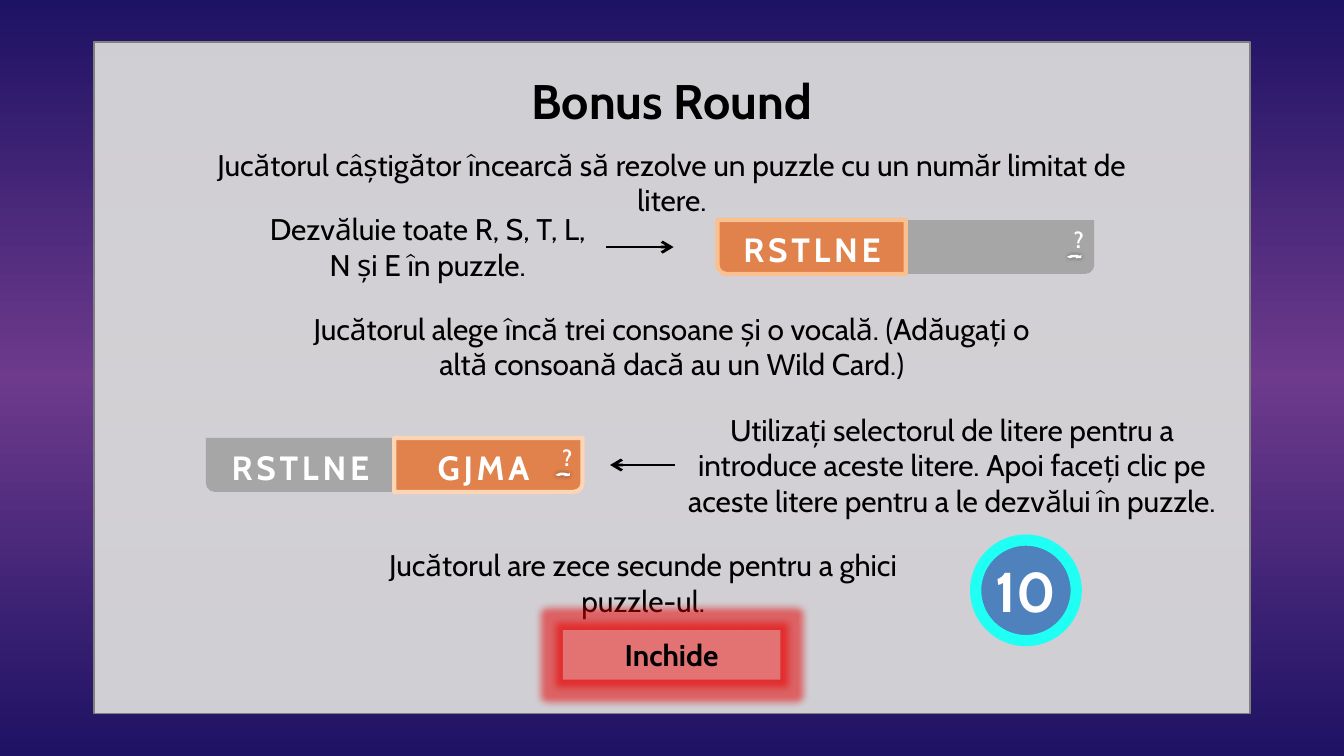
from copy import deepcopy

from lxml import etree
from pptx import Presentation
from pptx.dml.color import RGBColor
from pptx.enum.shapes import MSO_CONNECTOR, MSO_SHAPE
from pptx.enum.text import MSO_ANCHOR, MSO_AUTO_SIZE, PP_ALIGN
from pptx.oxml.ns import qn
from pptx.util import Cm, Pt

RECTANGLE = MSO_SHAPE.RECTANGLE
ROUND_ONE = MSO_SHAPE.ROUND_1_RECTANGLE
OVAL = MSO_SHAPE.OVAL
CIRCULAR_ARROW = MSO_SHAPE.CIRCULAR_ARROW
STRAIGHT = MSO_CONNECTOR.STRAIGHT
TOP, MIDDLE = MSO_ANCHOR.TOP, MSO_ANCHOR.MIDDLE
CENTER = PP_ALIGN.CENTER
FIT_TEXT = MSO_AUTO_SIZE.SHAPE_TO_FIT_TEXT

FONT = "Cabin"
COLORS = {
    "navy": "1E1264",
    "purple": "6D3A8C",
    "panel": "D9D9D9",
    "panel_edge": "808080",
    "black": "000000",
    "white": "FFFFFF",
    "orange": "E1814B",
    "gray": "A6A6A6",
    "peach": "FAC090",
    "pale_peach": "FCD5B5",
    "blue": "4F81BD",
    "cyan": "1FFFF4",
    "pink": "E6B9B8",
    "glow": "E80000",
}
HALF_WIDTH, BAR_HEIGHT = 3.56, 1.02
PARAGRAPHS = [
    ("Jucătorul câștigător încearcă să rezolve un puzzle cu un număr limitat de litere.",
     (3.5, 2.64, 18.4, 0.94)),
    ("Jucătorul alege încă trei consoane și o vocală. (Adăugați o altă consoană dacă au un Wild Card.)",
     (5.33, 5.74, 14.74, 1.63)),
    ("Dezvăluie toate R, S, T, L, N și E în puzzle.", (4.72, 3.86, 6.73, 1.63)),
    ("Utilizați selectorul de litere pentru a introduce aceste litere. "
     "Apoi faceți clic pe aceste litere pentru a le dezvălui în puzzle.",
     (12.75, 7.65, 10.49, 2.31)),
    ("Jucătorul are zece secunde pentru a ghici puzzle-ul.", (6.2, 10.21, 11.91, 1.63)),
]


def rgb(name):
    """Return the named colour."""
    return RGBColor.from_string(COLORS[name])


def lengths(box):
    """Convert numbers in centimetres to lengths."""
    return [Cm(value) for value in box]


def set_background(slide):
    """Paint the vertical three-stop gradient."""
    fill = slide.background.fill
    fill.gradient()
    fill.gradient_angle = 270
    stop_list = next(slide._element.iter(qn("a:gsLst")))
    stop_list.append(deepcopy(stop_list[0]))
    stops = zip(fill.gradient_stops, (0, 0.5, 1), ("navy", "purple", "navy"))
    for stop, position, color in stops:
        stop.position = position
        stop.color.rgb = rgb(color)


def write_text(shape, text, size=16, color="black", bold=False, anchor=TOP,
               inset=None, spacing=None, grow=False):
    """Put one centred, formatted paragraph into a shape."""
    frame = shape.text_frame
    frame.word_wrap = True
    frame.vertical_anchor = anchor
    if grow:
        frame.auto_size = FIT_TEXT
    if inset is not None:
        frame.margin_left = frame.margin_right = Cm(inset)
        frame.margin_top = frame.margin_bottom = Cm(inset)
    paragraph = frame.paragraphs[0]
    paragraph.alignment = CENTER
    run = paragraph.add_run()
    run.text = text
    run.font.name = FONT
    run.font.size = Pt(size)
    run.font.bold = bold
    run.font.color.rgb = rgb(color)
    if spacing:
        run._r.get_or_add_rPr().set("spc", str(spacing * 100))


def add_text(slide, text, box, **text_format):
    """Add a text box."""
    write_text(slide.shapes.add_textbox(*lengths(box)), text, **text_format)


def add_shape(shapes, kind, box, fill=None, line=None, width=1, alpha=None):
    """Add a preset shape with optional fill, transparency and outline."""
    shape = shapes.add_shape(kind, *lengths(box))
    shape.shadow.inherit = False
    if fill:
        shape.fill.solid()
        shape.fill.fore_color.rgb = rgb(fill)
    else:
        shape.fill.background()
    if alpha:
        color = shape._element.spPr.find(qn("a:solidFill"))[0]
        etree.SubElement(color, qn("a:alpha"), val=str(alpha * 1000))
    if line:
        shape.line.color.rgb = rgb(line)
        shape.line.width = Pt(width)
    else:
        shape.line.fill.background()
    return shape


def add_effect(shape, tag, color, alpha, **attributes):
    """Add a glow or shadow effect to a shape."""
    effects = shape._element.spPr.find(qn("a:effectLst"))
    effect = etree.SubElement(effects, qn(tag), **attributes)
    color_element = etree.SubElement(effect, qn("a:srgbClr"), val=COLORS[color])
    etree.SubElement(color_element, qn("a:alpha"), val=str(alpha * 1000))


def add_half(slide, left, middle, side, **style):
    """Add half 0 (left) or 1 (right) of a bar, rounded at its lower outer corner."""
    center = left + HALF_WIDTH * (side + 0.5)
    box = (center - BAR_HEIGHT / 2, middle - HALF_WIDTH / 2, BAR_HEIGHT, HALF_WIDTH)
    shape = add_shape(slide.shapes, ROUND_ONE, box, **style)
    shape.rotation = 90 if side else 270
    if not side:
        shape._element.spPr.find(qn("a:xfrm")).set("flipH", "1")


def add_letter_bar(slide, left, middle, active, outline, labels):
    """Add a two-part letter bar with its labels and the help and undo marks."""
    for side in (0, 1):
        add_half(slide, left, middle, side, fill="orange" if side == active else "gray")
    add_half(slide, left, middle, active, line=outline, width=2.25)
    for text, offset in zip(labels, (0.38, 3.84)):
        add_text(slide, text, (left + offset, middle - 0.27, 2.82, 0.61), size=18,
                 color="white", bold=True, anchor=MIDDLE, inset=0, spacing=2)
    add_text(slide, "?", (left + 6.65, middle - 0.37, 0.36, 0.46), size=12,
             color="white", bold=True, anchor=MIDDLE, inset=0)
    undo = add_shape(slide.shapes, CIRCULAR_ARROW,
                     (left + 6.6, middle + 0.04, 0.33, 0.46), fill="white")
    undo.rotation = 99.1
    for index, value in enumerate((0.16, 16.08, 122.52, 65.29, 0.2)):
        undo.adjustments[index] = value
    add_effect(undo, "a:outerShdw", "black", 40, blurRad=str(Pt(2)), dist="0", dir="2700000")


def add_arrow(slide, start, end, middle):
    """Add a horizontal arrow."""
    line = slide.shapes.add_connector(STRAIGHT, *lengths((start, middle, end, middle)))
    line.line.color.rgb = rgb("black")
    line.line.width = Pt(1.5)
    etree.SubElement(line.line._get_or_add_ln(), qn("a:tailEnd"), type="arrow")
    etree.SubElement(line._element.spPr, qn("a:effectLst"))


def add_timer(slide, box):
    """Add the grouped countdown disc and ring."""
    group = slide.shapes.add_group_shape()
    disc = add_shape(group.shapes, OVAL, box, fill="blue")
    write_text(disc, "10", size=30, color="white", bold=True, anchor=MIDDLE, inset=0)
    add_shape(group.shapes, OVAL, box, line="cyan", width=6)


def add_close_button(slide, box):
    """Add the glowing close button."""
    button = add_shape(slide.shapes, RECTANGLE, box, fill="pink", alpha=50)
    add_effect(button, "a:glow", "glow", 53, rad=str(Pt(8)))
    write_text(button, "Inchide", bold=True, grow=True)


def main():
    """Build and save the slide."""
    presentation = Presentation()
    presentation.slide_width, presentation.slide_height = lengths((25.4, 14.29))
    slide = presentation.slides.add_slide(presentation.slide_layouts[6])
    set_background(slide)
    add_shape(slide.shapes, RECTANGLE, (1.78, 0.79, 21.84, 12.7),
              fill="panel", line="panel_edge", alpha=95)
    add_text(slide, "Bonus Round", (6.63, 1.22, 12.14, 1.37), size=26, bold=True, grow=True)
    for text, box in PARAGRAPHS:
        add_text(slide, text, box, grow=True)
    add_letter_bar(slide, 13.56, 4.67, 0, "peach", ["RSTLNE"])
    add_arrow(slide, 11.46, 12.73, 4.67)
    add_letter_bar(slide, 3.89, 8.79, 1, "pale_peach", ["RSTLNE", "GJMA"])
    add_arrow(slide, 12.75, 11.53, 8.79)
    add_timer(slide, (18.44, 10.21, 1.9, 1.9))
    add_close_button(slide, (10.64, 11.91, 4.11, 0.94))
    presentation.save("out.pptx")


if __name__ == "__main__":
    main()
